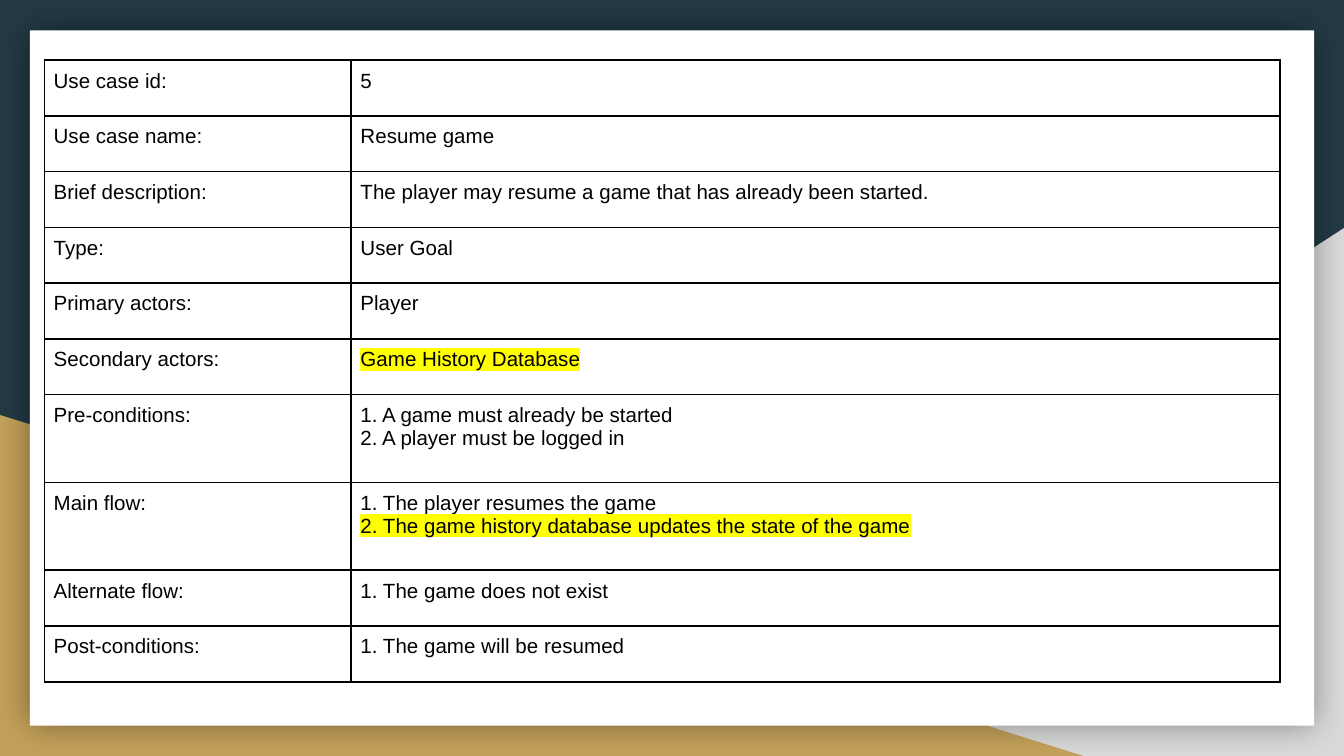
from pptx import Presentation, oxml
from pptx import util as u
from pptx.dml import color
from pptx.enum import shapes
from pptx.oxml import ns

Pt = u.Pt
BLACK, WHITE, YELLOW = "000000", "FFFFFF", "FFFF00"

# Content: label, then lines of (text, highlighted)
USE_CASE = [
    ("Use case id:", [("5", False)]),
    ("Use case name:", [("Resume game", False)]),
    ("Brief description:",
     [("The player may resume a game that has already been started.", False)]),
    ("Type:", [("User Goal", False)]),
    ("Primary actors:", [("Player", False)]),
    ("Secondary actors:", [("Game History Database", True)]),
    ("Pre-conditions:", [("1. A game must already be started", False),
                         ("2. A player must be logged in", False)]),
    ("Main flow:",
     [("1. The player resumes the game", False),
      ("2. The game history database updates the state of the game", True)]),
    ("Alternate flow:", [("1. The game does not exist", False)]),
    ("Post-conditions:", [("1. The game will be resumed", False)]),
]

# Layout, in points
SLIDE_W, SLIDE_H = 720, 405
TABLE_LEFT, TABLE_TOP = 23.75, 32.25
COLUMN_WIDTHS = (164.4, 497.6)
ROW_HEIGHTS = {1: 29.87, 2: 47.1}  # by number of lines
CELL_MARGIN = 5


def rgb(value):
    return color.RGBColor.from_string(value)


def add_block(page, kind, left, top, width, height, fill):
    block = page.shapes.add_shape(kind, Pt(left), Pt(top), Pt(width), Pt(height))
    block.shadow.inherit = False
    block.fill.solid()
    block.fill.fore_color.rgb = rgb(fill)
    block.line.fill.background()
    return block


def add_glow(block, blur, alpha):
    effects = block._element.spPr.find(ns.qn("a:effectLst"))
    effects.append(oxml.parse_xml(
        f'<a:outerShdw {ns.nsdecls("a")} blurRad="{Pt(blur)}" dist="0" algn="ctr" '
        f'rotWithShape="0"><a:srgbClr val="{BLACK}">'
        f'<a:alpha val="{alpha * 1000}"/></a:srgbClr></a:outerShdw>'))


def add_borders(cell):
    properties = cell._tc.get_or_add_tcPr()
    for side in ("lnL", "lnR", "lnT", "lnB"):
        properties.append(oxml.parse_xml(
            f'<a:{side} {ns.nsdecls("a")} w="{Pt(1)}"><a:solidFill>'
            f'<a:srgbClr val="{BLACK}"/></a:solidFill></a:{side}>'))


def fill_cell(cell, lines):
    add_borders(cell)
    cell.fill.background()
    cell.margin_left = cell.margin_right = Pt(CELL_MARGIN)
    cell.margin_top = cell.margin_bottom = Pt(CELL_MARGIN)
    for index, (line, highlighted) in enumerate(lines):
        frame = cell.text_frame
        para = frame.add_paragraph() if index else frame.paragraphs[0]
        para.font.name, para.font.size = "Arial", Pt(11)
        para.font.color.rgb = rgb(BLACK)
        span = para.add_run()
        span.text = line
        if highlighted:
            span._r.get_or_add_rPr().append(oxml.parse_xml(
                f'<a:highlight {ns.nsdecls("a")}>'
                f'<a:srgbClr val="{YELLOW}"/></a:highlight>'))


def main():
    deck = Presentation()
    deck.slide_width, deck.slide_height = Pt(SLIDE_W), Pt(SLIDE_H)
    page = deck.slides.add_slide(deck.slide_layouts[6])

    # Background with two corner triangles and a white card
    page.background.fill.solid()
    page.background.fill.fore_color.rgb = rgb("233A44")
    triangle = shapes.MSO_SHAPE.RIGHT_TRIANGLE
    grey = add_block(page, triangle, 282.2, 122.2, 437.8, 282.8, "D9D9D9")
    grey._element.spPr.xfrm.set("flipH", "1")
    add_block(page, triangle, 0, 222.3, 580.3, 182.7, "C4A15A")
    card = add_block(page, shapes.MSO_SHAPE.RECTANGLE, 16, 16.2, 688, 372.5, WHITE)
    add_glow(card, blur=18, alpha=40)

    # Use case table
    heights = [ROW_HEIGHTS[len(lines)] for _, lines in USE_CASE]
    table = page.shapes.add_table(
        len(USE_CASE), len(COLUMN_WIDTHS), Pt(TABLE_LEFT), Pt(TABLE_TOP),
        Pt(sum(COLUMN_WIDTHS)), Pt(sum(heights))).table
    table.first_row = table.horz_banding = False
    for column, width in zip(table.columns, COLUMN_WIDTHS):
        column.width = Pt(width)
    for row, height, (label, lines) in zip(table.rows, heights, USE_CASE):
        row.height = Pt(height)
        fill_cell(row.cells[0], [(label, False)])
        fill_cell(row.cells[1], lines)

    deck.save("out.pptx")


if __name__ == "__main__":
    main()
